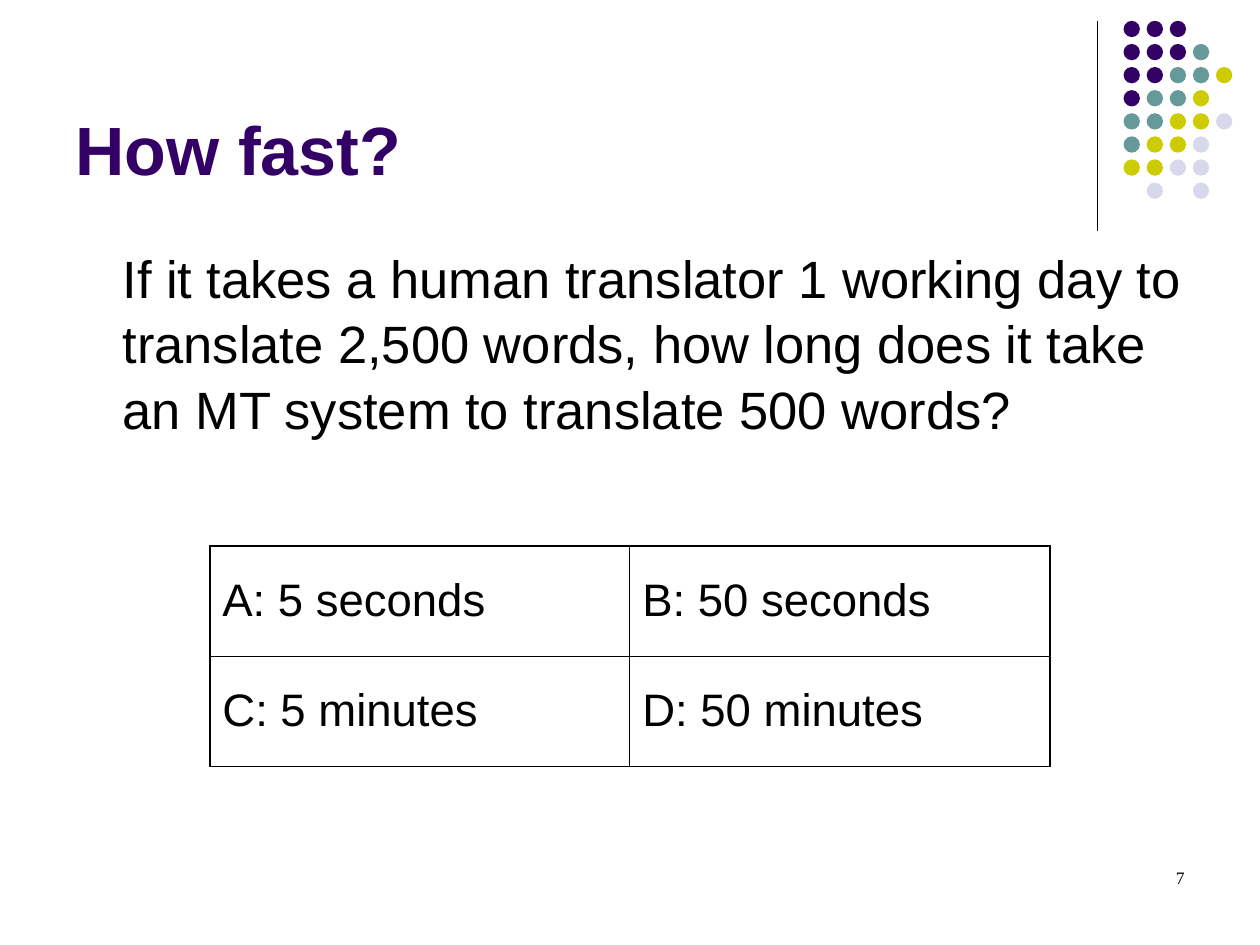
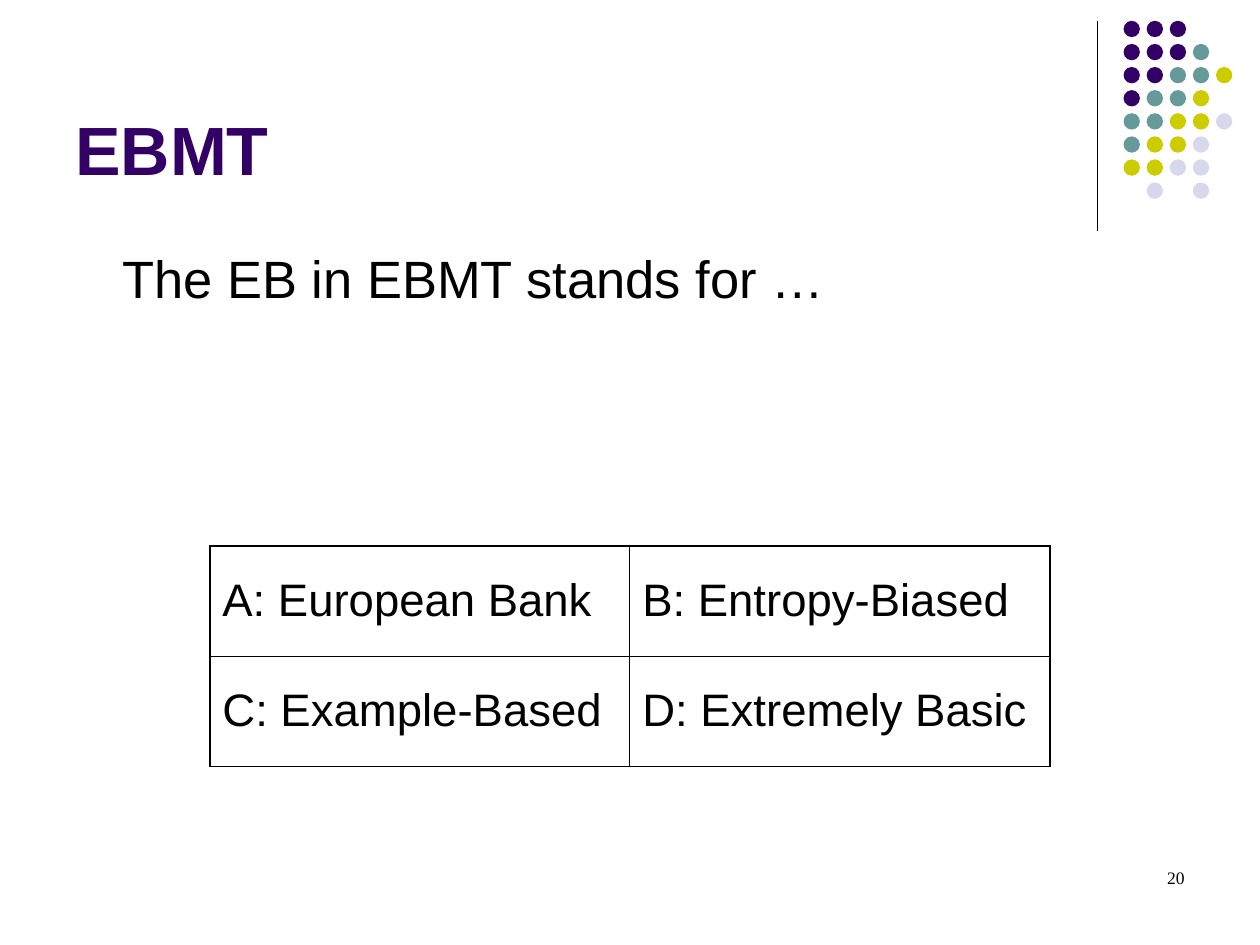
from dataclasses import dataclass

from lxml.etree import SubElement
from pptx import Presentation
from pptx.dml.color import RGBColor
from pptx.enum.shapes import MSO_CONNECTOR as Connector, MSO_SHAPE as Preset
from pptx.enum.text import MSO_ANCHOR as Anchor, PP_ALIGN as Align
from pptx.oxml.ns import qn
from pptx.slide import Slide
from pptx.util import Cm, Pt

BLACK, WHITE, PURPLE = "000000", "FFFFFF", "330066"
DOT_COLOURS = {"P": PURPLE, "T": "669999", "Y": "CCCC00", "L": "D8D8EC"}
DOT_ROWS = ("PPP", "PPPT", "PPTTY", "PTTY", "TTYYL", "TYYL", "YYLL", " L L")
DOT_LEFT, DOT_TOP, DOT_SIZE = Cm(22.65), Cm(0.42), Cm(0.33)
DOT_PITCH = Cm(3.26) // 7
OUTER_BORDER, INNER_BORDER = Pt(1.08), Pt(0.45)


@dataclass(frozen=True)
class TextStyle:
    """Font and paragraph settings of one kind of text."""
    size: float
    colour: str = BLACK
    font: str = "Arial"
    bold: bool = False
    align: Align = Align.LEFT
    space_before: float = 0
    line_spacing: float = 1.0
    indent: float = 0


@dataclass(frozen=True)
class TextArea:
    """Place and style of a text box, lengths in centimetres."""
    left: float
    top: float
    width: float
    height: float
    style: TextStyle
    anchor: Anchor = Anchor.TOP


@dataclass(frozen=True)
class Quiz:
    """One multiple-choice slide."""
    title: str
    question: str
    answers: tuple[tuple[str, str], ...]
    number: int


TITLE = TextArea(1.27, 0.33, 20.96, 3.61, TextStyle(39, PURPLE, bold=True), Anchor.BOTTOM)
QUESTION = TextArea(1.27, 4.78, 22.86, 4.78,
                    TextStyle(30, space_before=7.5, line_spacing=1.04, indent=0.95))
NUMBER = TextArea(18.21, 17.35, 5.92, 1.27,
                  TextStyle(10, font="Times New Roman", align=Align.RIGHT, indent=0.61))
ANSWER = TextStyle(26, space_before=6.5)

QUIZZES = (
    Quiz("How fast?",
         "If it takes a human translator 1 working day to translate 2,500 words, "
         "how long does it take an MT system to translate 500 words?",
         (("A: 5 seconds", "B: 50 seconds"), ("C: 5 minutes", "D: 50 minutes")), 7),
    Quiz("EBMT", "The EB in EBMT stands for …",
         (("A: European Bank", "B: Entropy-Biased"),
          ("C: Example-Based", "D: Extremely Basic")), 20),
)


def colour(value: str) -> RGBColor:
    """Turn a hex string into a colour."""
    return RGBColor.from_string(value)


def write(text_frame, text: str, style: TextStyle) -> None:
    """Fill a text frame with one styled paragraph."""
    text_frame.text = text
    paragraph = text_frame.paragraphs[0]
    paragraph.alignment = style.align
    paragraph.space_before = Pt(style.space_before)
    paragraph.line_spacing = style.line_spacing
    properties = paragraph._p.get_or_add_pPr()
    properties.set("marL", str(Cm(style.indent)))
    properties.set("indent", "0")
    font = paragraph.runs[0].font
    font.name, font.size, font.bold = style.font, Pt(style.size), style.bold
    font.color.rgb = colour(style.colour)


def add_text(slide: Slide, area: TextArea, text: str) -> None:
    """Add a wrapping text box."""
    shape = slide.shapes.add_textbox(Cm(area.left), Cm(area.top), Cm(area.width), Cm(area.height))
    shape.text_frame.word_wrap = True
    shape.text_frame.vertical_anchor = area.anchor
    write(shape.text_frame, text, area.style)


def add_corner(slide: Slide) -> None:
    """Draw the vertical rule and the dot pattern at the top right."""
    rule = slide.shapes.add_connector(Connector.STRAIGHT, Cm(22.12), Cm(0.42), Cm(22.12), Cm(4.65))
    rule.line.color.rgb = colour(BLACK)
    rule.line.width = Pt(0.75)
    SubElement(rule._element.spPr, qn("a:effectLst"))
    for row, keys in enumerate(DOT_ROWS):
        for column, key in enumerate(keys):
            if key not in DOT_COLOURS:
                continue
            dot = slide.shapes.add_shape(Preset.OVAL, DOT_LEFT + column * DOT_PITCH,
                                         DOT_TOP + row * DOT_PITCH, DOT_SIZE, DOT_SIZE)
            dot.shadow.inherit = False
            dot.fill.solid()
            dot.fill.fore_color.rgb = colour(DOT_COLOURS[key])
            dot.line.fill.background()


def add_border(cell, position: int, side: str, width: int) -> None:
    """Add a black border on one side of a cell."""
    properties = cell._tc.get_or_add_tcPr()
    line = SubElement(properties, qn(f"a:ln{side}"), w=str(width))
    fill = SubElement(line, qn("a:solidFill"))
    SubElement(fill, qn("a:srgbClr"), val=BLACK)
    properties.insert(position, line)


def add_answers(slide: Slide, answers: tuple[tuple[str, str], ...]) -> None:
    """Add the grid of answers."""
    rows, columns = len(answers), len(answers[0])
    table = slide.shapes.add_table(rows, columns, Cm(4.23), Cm(11), Cm(16.93), Cm(4.45)).table
    table.first_row = table.horz_banding = False
    for row, texts in enumerate(answers):
        for column, text in enumerate(texts):
            cell = table.cell(row, column)
            cell.vertical_anchor = Anchor.MIDDLE
            cell.fill.solid()
            cell.fill.fore_color.rgb = colour(WHITE)
            write(cell.text_frame, text, ANSWER)
            outer_sides = {"L": column == 0, "R": column == columns - 1,
                           "T": row == 0, "B": row == rows - 1}
            for position, (side, outer) in enumerate(outer_sides.items()):
                add_border(cell, position, side, OUTER_BORDER if outer else INNER_BORDER)


def add_quiz(presentation, quiz: Quiz) -> None:
    """Add one quiz slide."""
    slide = presentation.slides.add_slide(presentation.slide_layouts[6])
    add_corner(slide)
    add_text(slide, TITLE, quiz.title)
    add_text(slide, QUESTION, quiz.question)
    add_answers(slide, quiz.answers)
    add_text(slide, NUMBER, str(quiz.number))


def main() -> None:
    """Build and save the presentation."""
    presentation = Presentation()
    presentation.slide_width, presentation.slide_height = Cm(25.4), Cm(19.05)
    for quiz in QUIZZES:
        add_quiz(presentation, quiz)
    presentation.save("out.pptx")


if __name__ == "__main__":
    main()
